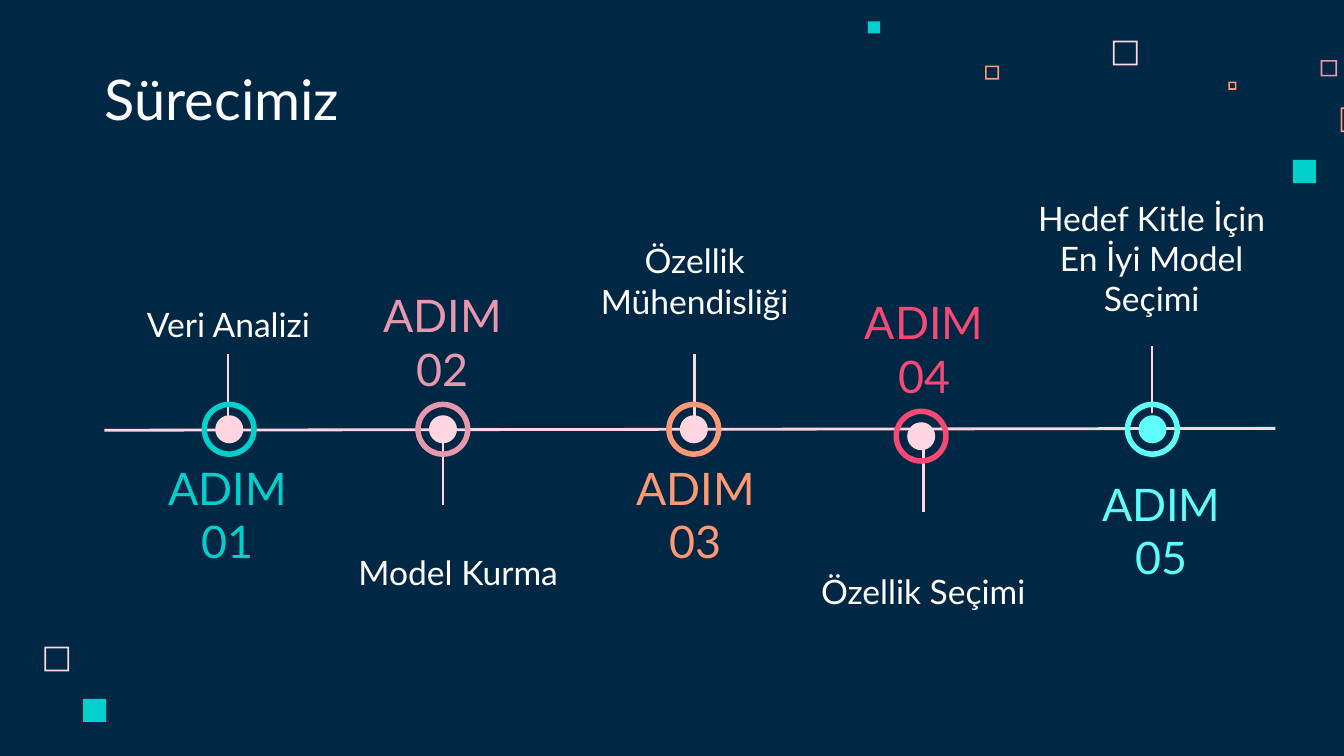
from pptx import Presentation
from pptx.dml.color import RGBColor
from pptx.enum.shapes import MSO_CONNECTOR, MSO_SHAPE
from pptx.enum.text import MSO_ANCHOR, PP_ALIGN
from pptx.oxml.ns import qn
from pptx.util import Pt
from lxml import etree

STRAIGHT = MSO_CONNECTOR.STRAIGHT
OVAL, DONUT = MSO_SHAPE.OVAL, MSO_SHAPE.DONUT
FRAME, RECTANGLE = MSO_SHAPE.FRAME, MSO_SHAPE.RECTANGLE
TOP, MIDDLE, BOTTOM = MSO_ANCHOR.TOP, MSO_ANCHOR.MIDDLE, MSO_ANCHOR.BOTTOM
LEFT, CENTER = PP_ALIGN.LEFT, PP_ALIGN.CENTER

NAVY = RGBColor(0x00, 0x28, 0x45)
WHITE = RGBColor(0xFF, 0xFF, 0xFF)
BLUSH = RGBColor(0xFF, 0xD6, 0xE1)
ROSE = RGBColor(0xE8, 0x98, 0xAC)
ORANGE = RGBColor(0xFF, 0x99, 0x73)
TEAL = RGBColor(0x00, 0xCF, 0xCC)
AQUA = RGBColor(0x5E, 0xFF, 0xFD)
PINK = RGBColor(0xF6, 0x49, 0x75)

FONT = "Lato"
DOT_SIZE, RING_SIZE, STEM_LENGTH = 15, 29.6, 35.6
LABEL_WIDTH, STEP_WIDTH, TEXT_HEIGHT = 148.3, 101.5, 33.8

presentation = Presentation()
presentation.slide_width, presentation.slide_height = Pt(720), Pt(405)
slide = presentation.slides.add_slide(presentation.slide_layouts[6])
slide.background.fill.solid()
slide.background.fill.fore_color.rgb = NAVY


def add_text(text, left, top, width, height=TEXT_HEIGHT, size=18,
             color=WHITE, anchor=BOTTOM, align=CENTER):
    frame = slide.shapes.add_textbox(Pt(left), Pt(top), Pt(width), Pt(height)).text_frame
    frame.word_wrap = True
    frame.vertical_anchor = anchor
    frame.margin_left = frame.margin_right = Pt(7.2)
    frame.margin_top = frame.margin_bottom = Pt(7.2)
    paragraph = frame.paragraphs[0]
    paragraph.text = text
    paragraph.alignment = align
    paragraph.font.name = FONT
    paragraph.font.size = Pt(size)
    paragraph.font.color.rgb = color


def add_filled(kind, left, top, size, color, adjustment=None):
    shape = slide.shapes.add_shape(kind, Pt(left), Pt(top), Pt(size), Pt(size))
    shape.shadow.inherit = False
    shape.fill.solid()
    shape.fill.fore_color.rgb = color
    shape.line.fill.background()
    if adjustment is not None:
        shape.adjustments[0] = adjustment


# Scattered squares: left, top, size, colour
for left, top, size, color in [
    (596.2, 21.8, 13.2, BLUSH), (707.5, 32.2, 8.8, ROSE),
    (658, 43.7, 4.4, ORANGE), (718.2, 57.6, 13.2, ORANGE),
    (527.7, 35.1, 7.5, ORANGE), (23.8, 346.5, 13.2, BLUSH),
]:
    add_filled(FRAME, left, top, size, color, adjustment=0.9 / size)
for left, top, size in [(692.6, 85.7, 12.4), (465, 11.4, 6.5), (44.5, 374.4, 12.4)]:
    add_filled(RECTANGLE, left, top, size, TEAL)

add_text("Sürecimiz", 49, 32.4, 372.2, height=45.4, size=30, align=LEFT)

# Ring colour, dot colour, marker centre x and y, stem x and top,
# label, its centre x, top and anchor, step centre x and top
steps = [
    (TEAL, BLUSH, 122.8, 230, 122.2, 189.4, "Veri Analizi", 122.4, 155.5, TOP, 122, 258.5),
    (ROSE, BLUSH, 237.3, 230, 237.4, 234.7, "Model Kurma", 245.5, 288.7, TOP, 237.2, 166.3),
    (ORANGE, BLUSH, 371.7, 230, 372.2, 189.4, "Özellik Mühendisliği",
     372.2, 145.4, BOTTOM, 372.6, 258.5),
    (PINK, BLUSH, 493.5, 233.7, 494.6, 238.5, "Özellik Seçimi",
     494.6, 301, BOTTOM, 495, 169.9),
    (AQUA, AQUA, 617.4, 230, 617.2, 185.6, "Hedef Kitle İçin En İyi Model Seçimi",
     617, 144, BOTTOM, 622.1, 267.1),
]

# Stems, then the timeline across them
lines = [(stem_x, stem_top, stem_x, stem_top + STEM_LENGTH)
         for _, _, _, _, stem_x, stem_top, *_ in steps]
lines.append((55.9, 230.5, 683.2, 229.5))
for ends in lines:
    connector = slide.shapes.add_connector(STRAIGHT, *map(Pt, ends))
    connector.line.color.rgb = BLUSH
    connector.line.width = Pt(1.5)
    etree.SubElement(connector._element.spPr, qn("a:effectLst"))

for number, step in enumerate(steps, start=1):
    (ring_color, dot_color, x, y, _, _, label,
     label_x, label_top, label_anchor, step_x, step_top) = step
    add_filled(OVAL, x - DOT_SIZE / 2, y - DOT_SIZE / 2, DOT_SIZE, dot_color)
    add_filled(DONUT, x - RING_SIZE / 2, y - RING_SIZE / 2, RING_SIZE, ring_color,
               adjustment=0.1)
    add_text(label, label_x - LABEL_WIDTH / 2, label_top, LABEL_WIDTH, anchor=label_anchor)
    add_text(f"ADIM {number:02}", step_x - STEP_WIDTH / 2, step_top, STEP_WIDTH,
             size=24, color=ring_color, anchor=MIDDLE)

presentation.save("out.pptx")
